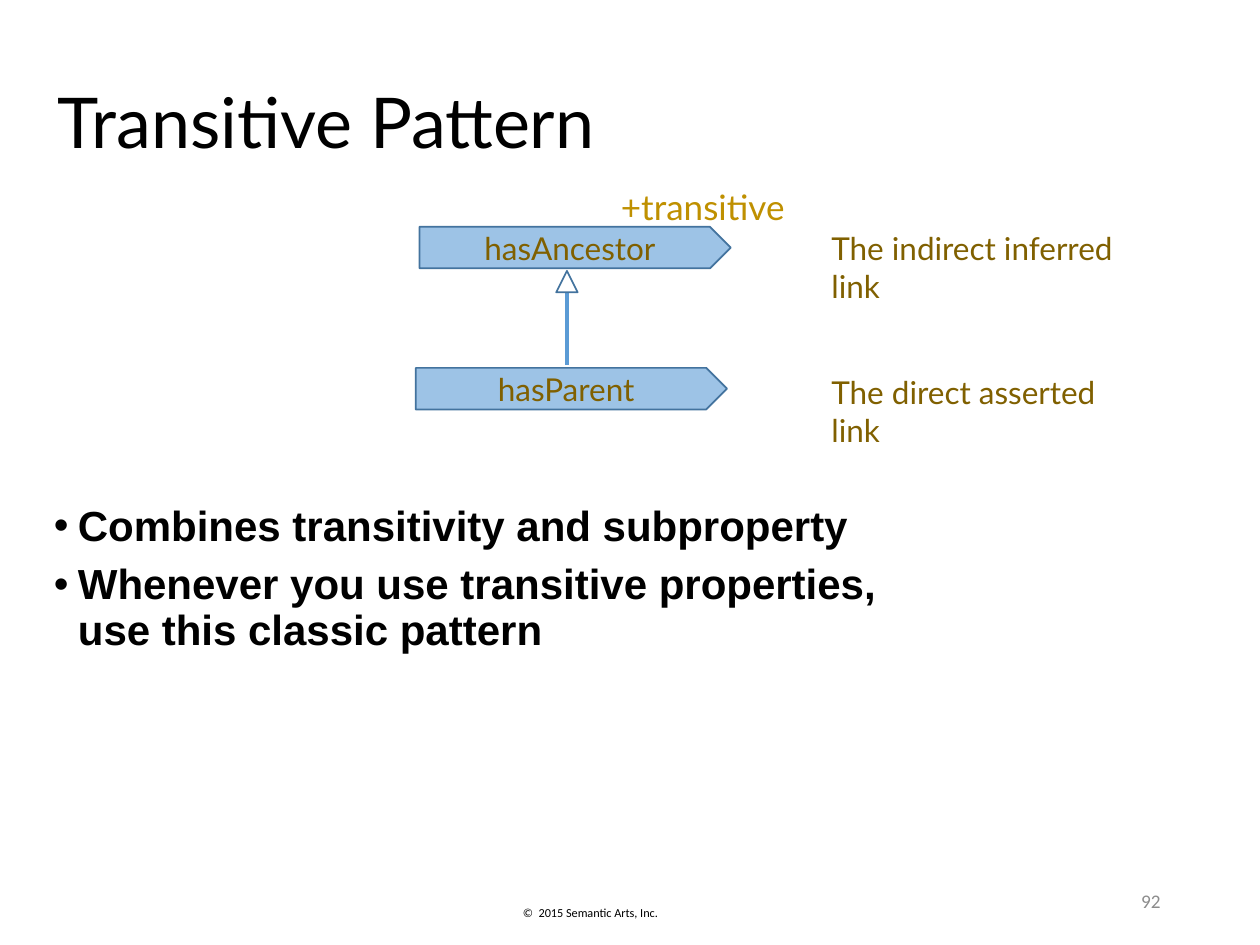
from dataclasses import dataclass

from lxml.etree import SubElement
from pptx import Presentation
from pptx.dml.color import RGBColor
from pptx.enum.shapes import MSO_CONNECTOR, MSO_SHAPE
from pptx.enum.text import MSO_ANCHOR, PP_ALIGN
from pptx.oxml.ns import qn
from pptx.shapes.autoshape import Shape
from pptx.slide import Slide
from pptx.text.text import TextFrame
from pptx.util import Inches, Pt

BLACK = RGBColor(0x00, 0x00, 0x00)
GRAY = RGBColor(0x8C, 0x8C, 0x8C)
BROWN = RGBColor(0x80, 0x60, 0x00)
GOLD = RGBColor(0xBF, 0x90, 0x00)
LIGHT_BLUE = RGBColor(0x9D, 0xC3, 0xE6)
ARROW_BLUE = RGBColor(0x5B, 0x9B, 0xD5)
OUTLINE_BLUE = RGBColor(0x43, 0x73, 0x9E)


@dataclass
class Label:
    text: str
    left: float
    top: float
    width: float
    height: float
    size: float
    color: RGBColor
    font: str = "Lato"
    align: PP_ALIGN = PP_ALIGN.LEFT
    anchor: MSO_ANCHOR = MSO_ANCHOR.TOP
    wrap: bool = True


@dataclass
class Property:
    name: str
    left: float
    top: float


LABELS = [
    Label("+transitive", 4.83, 1.42, 1.5, 0.44, 20, GOLD, wrap=False),
    Label("The indirect inferred link", 6.5, 1.77, 2.71, 0.4, 18, BROWN),
    Label("The direct asserted link", 6.5, 2.91, 2.62, 0.4, 18, BROWN),
    Label("©  2015 Semantic Arts, Inc.", 3.92, 7.1, 1.4, 0.25, 7, BLACK,
          "Calibri", PP_ALIGN.RIGHT, MSO_ANCHOR.BOTTOM),
    Label("92", 7.06, 6.95, 2.25, 0.4, 11, GRAY,
          "Calibri", PP_ALIGN.RIGHT, MSO_ANCHOR.MIDDLE),
]
PROPERTIES = [Property("hasParent", 3.3, 2.92), Property("hasAncestor", 3.33, 1.8)]
# A vertical tab marks a line break inside a paragraph
BULLETS = [
    "Combines transitivity and subproperty",
    "Whenever you use transitive properties, \vuse this classic pattern",
]


def format_text(text_frame: TextFrame, font: str, size: float, color: RGBColor,
                align: PP_ALIGN = PP_ALIGN.LEFT, bold: bool = False) -> None:
    for paragraph in text_frame.paragraphs:
        paragraph.alignment = align
        for run in paragraph.runs:
            run.font.name = font
            run.font.size = Pt(size)
            run.font.color.rgb = color
            run.font.bold = bold


def add_label(slide: Slide, label: Label) -> None:
    box = slide.shapes.add_textbox(Inches(label.left), Inches(label.top),
                                   Inches(label.width), Inches(label.height))
    text_frame = box.text_frame
    text_frame.word_wrap = label.wrap
    text_frame.vertical_anchor = label.anchor
    text_frame.text = label.text
    format_text(text_frame, label.font, label.size, label.color, label.align)


def add_outlined_shape(slide: Slide, kind: MSO_SHAPE, left: float, top: float,
                       width: float, height: float) -> Shape:
    shape = slide.shapes.add_shape(kind, Inches(left), Inches(top),
                                   Inches(width), Inches(height))
    shape.shadow.inherit = False
    shape.fill.background()
    shape.line.color.rgb = OUTLINE_BLUE
    shape.line.width = Pt(1)
    return shape


def add_property(slide: Slide, item: Property) -> None:
    shape = add_outlined_shape(slide, MSO_SHAPE.PENTAGON, item.left, item.top, 2.47, 0.33)
    shape.fill.solid()
    shape.fill.fore_color.rgb = LIGHT_BLUE
    text_frame = shape.text_frame
    text_frame.vertical_anchor = MSO_ANCHOR.MIDDLE
    text_frame.text = item.name
    format_text(text_frame, "Lato", 18, BROWN, PP_ALIGN.CENTER)


def add_bullets(slide: Slide, lines: list[str]) -> None:
    box = slide.shapes.add_textbox(Inches(0.33), Inches(3.96), Inches(9), Inches(2.87))
    text_frame = box.text_frame
    text_frame.word_wrap = True
    text_frame.text = "\n".join(lines)
    for index, paragraph in enumerate(text_frame.paragraphs):
        paragraph.line_spacing = 0.9
        paragraph.space_before = Pt(7.5 if index else 0)
        properties = paragraph._p.get_or_add_pPr()
        properties.set("marL", str(Inches(0.19)))
        properties.set("indent", str(-Inches(0.19)))
        SubElement(properties, qn("a:buFont"), typeface="Arial")
        SubElement(properties, qn("a:buChar"), char="•")
    format_text(text_frame, "Arial", 24, BLACK, bold=True)


def add_subproperty_arrow(slide: Slide) -> None:
    center = 4.5
    stem = slide.shapes.add_connector(MSO_CONNECTOR.STRAIGHT, Inches(center), Inches(2.32),
                                      Inches(center), Inches(2.9))
    stem.line.color.rgb = ARROW_BLUE
    stem.line.width = Pt(2)
    SubElement(stem._element.spPr, qn("a:effectLst"))
    size = 0.17
    add_outlined_shape(slide, MSO_SHAPE.ISOSCELES_TRIANGLE, center - size / 2, 2.15, size, size)


def main() -> None:
    presentation = Presentation()
    presentation.slide_width = Inches(10)
    presentation.slide_height = Inches(7.5)
    slide = presentation.slides.add_slide(presentation.slide_layouts[5])

    # Title
    title = slide.shapes.title
    title.left, title.top = Inches(0.36), Inches(0.26)
    title.width, title.height = Inches(9.23), Inches(1.47)
    title.text_frame.text = "Transitive Pattern"
    title.text_frame.vertical_anchor = MSO_ANCHOR.MIDDLE
    title.text_frame.paragraphs[0].line_spacing = 0.9
    format_text(title.text_frame, "Lato", 40, BLACK)

    # Takeaways
    add_bullets(slide, BULLETS)

    # Property diagram
    for item in PROPERTIES:
        add_property(slide, item)
    add_subproperty_arrow(slide)

    # Annotations and footer
    for label in LABELS:
        add_label(slide, label)

    presentation.save("out.pptx")


if __name__ == "__main__":
    main()
